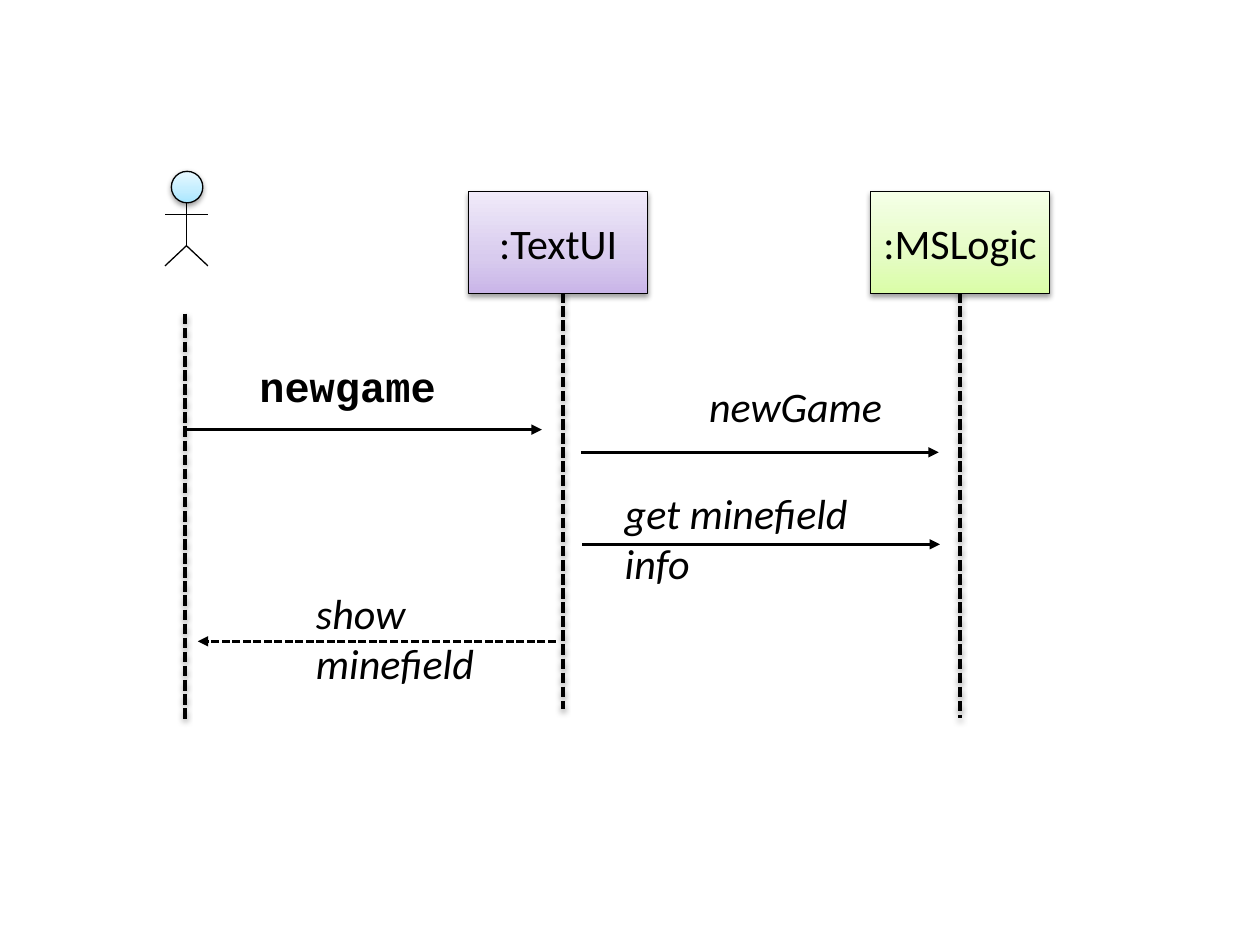
from lxml import etree
from pptx import Presentation
from pptx.dml.color import RGBColor
from pptx.enum.dml import MSO_LINE as DASH
from pptx.enum.shapes import MSO_CONNECTOR as CONN, MSO_SHAPE as SHAPE
from pptx.enum.text import MSO_ANCHOR, MSO_AUTO_SIZE as FIT, PP_ALIGN
from pptx.oxml import parse_xml
from pptx.oxml.ns import nsdecls, qn
from pptx.util import Inches, Pt

BLACK = RGBColor.from_string("000000")
SHADOW = (f'<a:outerShdw {nsdecls("a")} blurRad="40000" dist="20000" dir="5400000" rotWithShape="0">'
          '<a:srgbClr val="000000"><a:alpha val="38000"/></a:srgbClr></a:outerShdw>')


def add_line(shapes, x1, y1, x2, y2, width, dashed=False, arrow=False, shadow=False):
    c = shapes.add_connector(CONN.STRAIGHT, Inches(x1), Inches(y1), Inches(x2), Inches(y2))
    c.line.color.rgb = BLACK
    c.line.width = Pt(width)
    if dashed:
        c.line.dash_style = DASH.SQUARE_DOT
    if arrow:
        etree.SubElement(c.line._get_or_add_ln(), qn("a:tailEnd"), type="triangle")
    effects = etree.SubElement(c._element.spPr, qn("a:effectLst"))
    if shadow:
        effects.append(parse_xml(SHADOW))


def add_gradient_shape(shapes, kind, x, y, w, h, colors):
    """Add an outlined, shadowed shape shaded upwards through three colours."""
    sp = shapes.add_shape(kind, Inches(x), Inches(y), Inches(w), Inches(h))
    sp.fill.gradient()
    sp.fill.gradient_angle = 90
    stops = sp._element.spPr.find(qn("a:gradFill")).find(qn("a:gsLst"))
    for stop in list(stops):
        stops.remove(stop)
    for pos, color in zip((0, 35000, 100000), colors):
        stop = etree.SubElement(stops, qn("a:gs"), pos=str(pos))
        etree.SubElement(stop, qn("a:srgbClr"), val=color)
    sp.line.color.rgb = BLACK
    sp.line.width = Pt(0.75)
    sp.shadow.inherit = False
    sp._element.spPr.find(qn("a:effectLst")).append(parse_xml(SHADOW))
    return sp


prs = Presentation()
prs.slide_width, prs.slide_height = Inches(10), Inches(7.5)
s = prs.slides.add_slide(prs.slide_layouts[6])

# Lifelines
for x, top, bottom in [(1.47, 2.49, 5.73), (4.47, 2.32, 5.63), (7.62, 2.32, 5.7)]:
    add_line(s.shapes, x, top, x, bottom, 2, dashed=True, shadow=True)

# Actor
actor = s.shapes.add_group_shape().shapes
for ends in [(1.48, 1.53, 1.48, 1.95), (1.31, 1.7, 1.65, 1.7),
             (1.48, 1.95, 1.31, 2.11), (1.48, 1.95, 1.65, 2.11)]:
    add_line(actor, *ends, 0.75)
add_gradient_shape(actor, SHAPE.OVAL, 1.36, 1.36, 0.25, 0.25, ("A7E6FF", "C1EDFF", "E7F8FF"))

# Participants
labels = []
for name, x, colors in [(":TextUI", 3.72, ("C9B5E8", "D8CBEE", "F0EAF9")),
                        (":MSLogic", 6.91, ("DAFDA7", "E4FCC2", "F5FFE7"))]:
    sp = add_gradient_shape(s.shapes, SHAPE.RECTANGLE, x, 1.52, 1.42, 0.81, colors)
    tf = sp.text_frame
    tf.margin_left = tf.margin_right = Inches(0.05)
    tf.vertical_anchor = MSO_ANCHOR.MIDDLE
    tf.paragraphs[0].alignment = PP_ALIGN.CENTER
    labels.append((tf, name, {"name": "Calibri"}))

# Messages
for x1, x2, y, dashed in [(1.47, 4.3, 3.41, False), (4.61, 7.45, 3.59, False),
                          (4.62, 7.46, 4.32, False), (4.41, 1.57, 5.09, True)]:
    add_line(s.shapes, x1, y, x2, y, 1.5, dashed=dashed, arrow=True)

command = {"name": "Courier New", "bold": True}
action = {"name": "Calibri", "italic": True}
for text, x, y, w, h, style in [("newgame", 1.96, 2.81, 1.76, 0.5, command),
                                ("newGame", 5.53, 2.97, 1.6, 0.5, action),
                                ("get minefield info", 4.86, 3.82, 2.16, 0.91, action),
                                ("show minefield", 2.41, 4.61, 2, 0.91, action)]:
    tf = s.shapes.add_textbox(Inches(x), Inches(y), Inches(w), Inches(h)).text_frame
    tf.auto_size = FIT.SHAPE_TO_FIT_TEXT
    labels.append((tf, text, style))

for tf, text, style in labels:
    tf.word_wrap = True
    r = tf.paragraphs[0].add_run()
    r.text = text
    r.font.color.rgb = BLACK
    for key, value in {"size": Pt(24), **style}.items():
        setattr(r.font, key, value)

prs.save("out.pptx")
